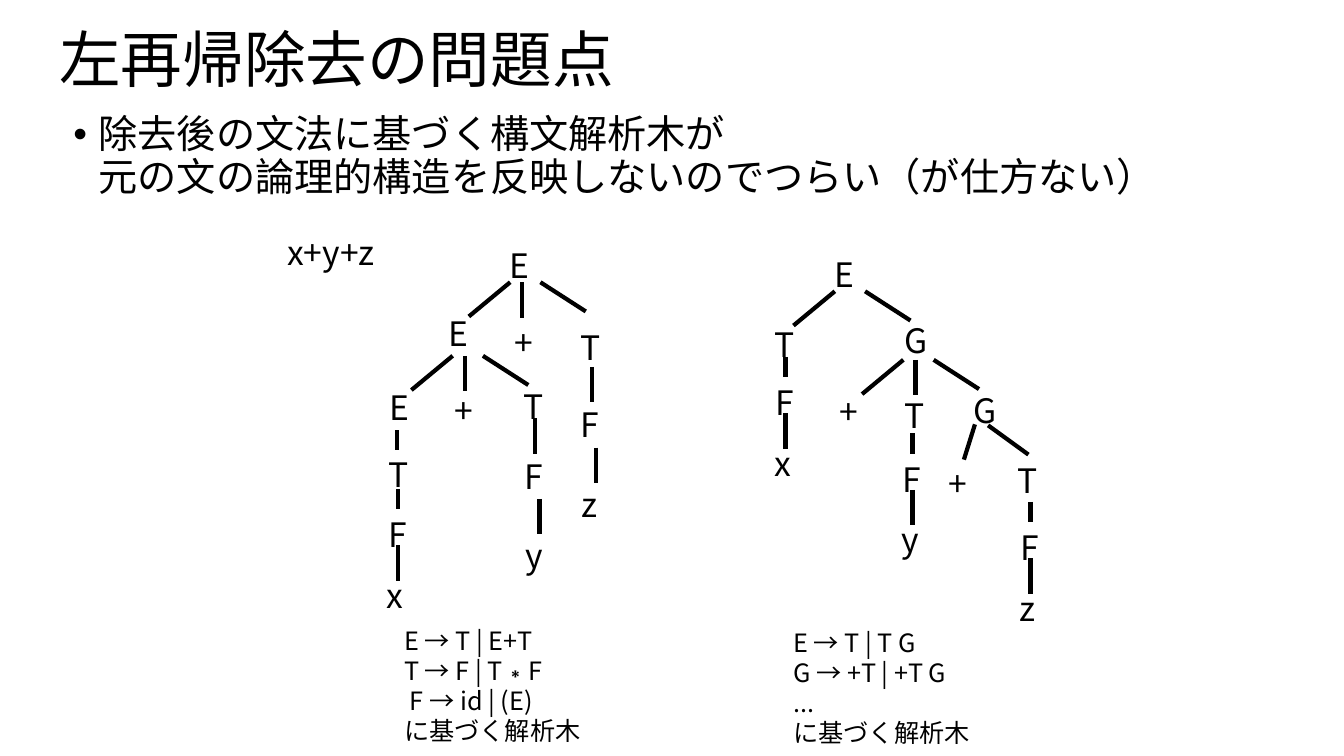
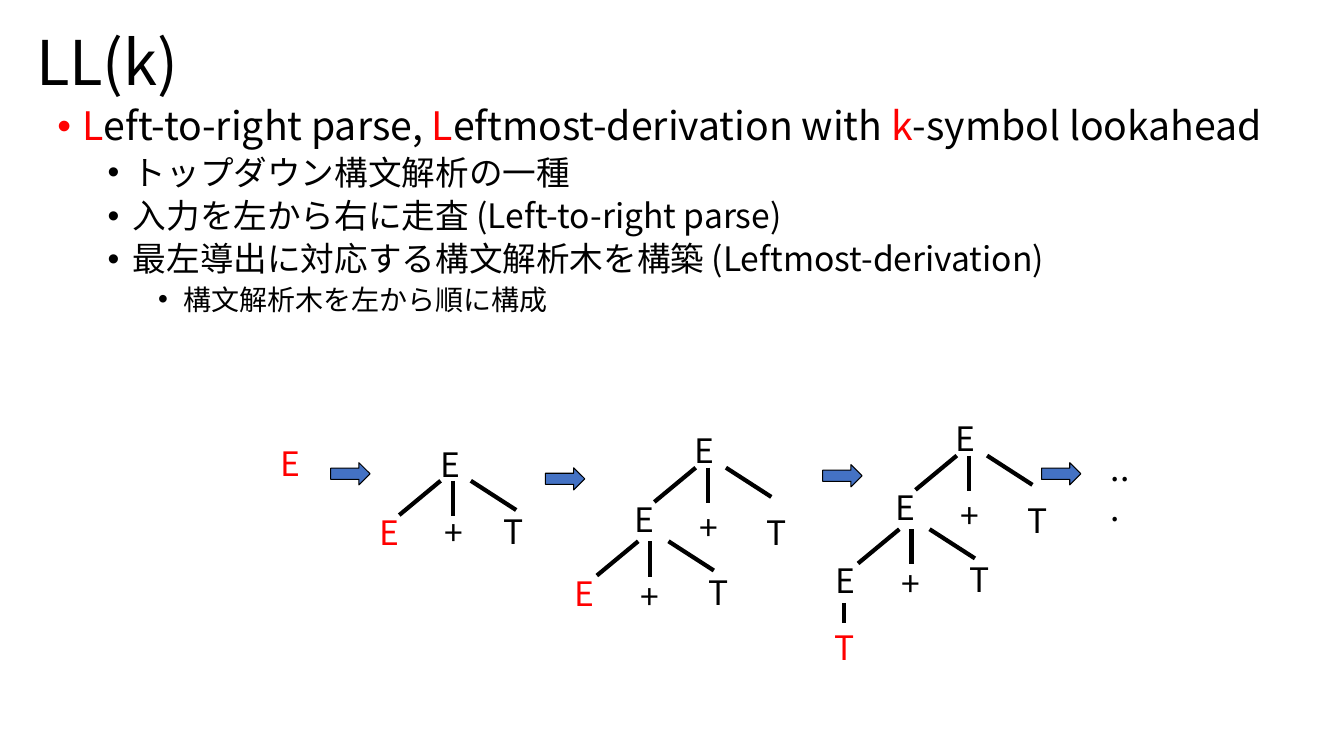
from lxml import etree
from pptx import Presentation
from pptx.dml.color import RGBColor
from pptx.enum import shapes, text
from pptx.oxml.ns import qn
from pptx.util import Inches, Pt

BLACK = RGBColor(0, 0, 0)
RED = RGBColor(0xFF, 0, 0)
BLUE = RGBColor(0x44, 0x72, 0xC4)
FONT = "Noto Sans CJK JP"
NODE_WIDTHS = {"+": 0.45, "G": 0.45, "x": 0.37, "y": 0.37, "z": 0.36}
LEVELS = [(0.25, 28, 10), (0.75, 24, 5), (1.25, 20, 5)]


class Deck:
    """Holds the style and the current slide, and draws each kind of element."""

    def __init__(self):
        self.prs = Presentation()
        self.prs.slide_width = Inches(13.33)
        self.prs.slide_height = Inches(7.5)
        self.s = None

    def new_slide(self, title, x, y, w):
        self.s = self.prs.slides.add_slide(self.prs.slide_layouts[6])
        tf = self.frame(x, y, w, 1.25, word_wrap=True,
                        vertical_anchor=text.MSO_ANCHOR.MIDDLE)
        tf.paragraphs[0].line_spacing = 0.9
        self.run(tf.paragraphs[0], title, 44)

    def frame(self, x, y, w, h, **formats):
        sp = self.s.shapes.add_textbox(Inches(x), Inches(y), Inches(w), Inches(h))
        for name, value in formats.items():
            setattr(sp.text_frame, name, value)
        return sp.text_frame

    def run(self, p, words, size, color=BLACK, font=FONT):
        r = p.add_run()
        r.text = words
        for name, value in {"size": Pt(size), "name": font}.items():
            setattr(r.font, name, value)
        r.font.color.rgb = color
        etree.SubElement(r._r.get_or_add_rPr(), qn("a:ea")).set("typeface", font)

    def paragraphs(self, tf, count):
        return [tf.paragraphs[0]] + [tf.add_paragraph() for _ in range(count - 1)]

    def bullets(self, x, y, w, items):
        tf = self.frame(x, y, w, 4.95, word_wrap=True)
        for i, (p, (level, lines)) in enumerate(
                zip(self.paragraphs(tf, len(items)), items)):
            indent, size, before = LEVELS[level]
            pPr = p._p.get_or_add_pPr()
            pPr.set("marL", str(Inches(indent)))
            pPr.set("indent", str(Inches(-0.25)))
            etree.SubElement(pPr, qn("a:buFont")).set("typeface", "Arial")
            etree.SubElement(pPr, qn("a:buChar")).set("char", "•")
            p.line_spacing = 0.9
            p.space_before = Pt(before if i else 0)
            for j, line in enumerate(lines):
                if j:
                    p.add_line_break()
                for words, color in line:
                    self.run(p, words, size, color)

    def label(self, x, y, w, lines, size=24, color=BLACK):
        tf = self.frame(x, y, w, 0.5, word_wrap=False,
                        auto_size=text.MSO_AUTO_SIZE.SHAPE_TO_FIT_TEXT)
        for p, line in zip(self.paragraphs(tf, len(lines)), lines):
            for part in line.replace("∗", "\t∗\t").split("\t"):
                self.run(p, part, size, color, "Arial" if part == "∗" else FONT)

    def node(self, x, y, symbol, color=BLACK):
        self.label(x, y, NODE_WIDTHS.get(symbol, 0.41), [symbol], color=color)

    def edge(self, x, y, dx, dy):
        c = self.s.shapes.add_connector(
            shapes.MSO_CONNECTOR.STRAIGHT, Inches(x), Inches(y),
            Inches(x + dx), Inches(y + dy))
        c.line.color.rgb = BLACK
        c.line.width = Pt(3)
        etree.SubElement(c._element.spPr, qn("a:effectLst"))

    def fan(self, x, y, middle=True):
        self.edge(x, y, -0.41, 0.34)
        self.edge(x + 0.3, y, 0.45, 0.29)
        if middle:
            self.edge(x + 0.12, y, 0, 0.35)

    def sum_tree(self, x, y, leaf_color=BLACK):
        self.fan(x + 0.11, y + 0.42)
        self.fan(x - 0.46, y + 1.15)
        for dx, dy, symbol in [(0, 0, "E"), (-0.6, 0.68, "E"), (0.05, 0.76, "+"),
                               (0.71, 0.81, "T"), (-0.54, 1.44, "+"),
                               (0.14, 1.4, "T")]:
            self.node(x + dx, y + dy, symbol)
        self.node(x - 1.19, y + 1.41, "E", leaf_color)

    def chain(self, x, y, leaf, loose=False):
        self.node(x, y, "F")
        if loose:
            self.edge(x + 0.21, y - 0.32, 0, 0.35)
            self.edge(x + 0.25, y + 0.48, 0, 0.35)
            self.node(x + 0.01, y + 0.79, leaf)
        else:
            self.edge(x + 0.2, y - 0.2, 0, 0.2)
            self.edge(x + 0.2, y + 0.36, 0, 0.35)
            self.node(x - 0.01, y + 0.6, leaf)

    def arrow(self, x, y):
        sp = self.s.shapes.add_shape(shapes.MSO_SHAPE.RIGHT_ARROW, Inches(x),
                                     Inches(y), Inches(0.39), Inches(0.22))
        sp.shadow.inherit = False
        sp.fill.solid()
        sp.fill.fore_color.rgb = BLUE
        sp.line.color.rgb = BLACK
        sp.line.width = Pt(0.75)


def left_recursion(d):
    """Draws the slide comparing the two parse trees."""
    d.new_slide("左再帰除去の問題点", 0.49, 0, 12.27)
    d.bullets(0.63, 1.09, 12.35, [
        (0, [[("除去後の文法に基づく構文解析木が", BLACK)],
             [("元の文の論理的構造を反映しないのでつらい（が仕方ない）", BLACK)]])])
    d.label(2.75, 2.25, 1.17, ["x+y+z"])
    d.label(3.91, 6.15, 2.26, ["E → T | E+T", "T → F | T∗F",
                               " F → id | (E)", "に基づく解析木"], 18)
    d.label(7.77, 6.17, 1.97, ["E → T | T G", "G → +T | +T G",
                               "...", "に基づく解析木"], 18)

    d.sum_tree(4.95, 2.38)
    d.edge(3.94, 4.27, 0, 0.19)
    d.node(3.75, 4.45, "T")
    d.chain(3.75, 5.05, "x")
    d.chain(5.1, 4.47, "y", loose=True)
    d.chain(5.66, 3.96, "z", loose=True)

    d.fan(8.28, 2.89, middle=False)
    d.fan(8.96, 3.57)
    d.edge(9.67, 4.21, -0.11, 0.35)
    d.edge(9.8, 4.22, 0.4, 0.29)
    for x, y, symbol in [(8.18, 2.47, "E"), (7.58, 3.16, "T"), (8.87, 3.12, "G"),
                         (8.23, 3.83, "+"), (8.87, 3.87, "T"), (9.56, 3.82, "G"),
                         (9.31, 4.54, "+"), (9.99, 4.51, "T")]:
        d.node(x, y, symbol)
    for x, y, leaf in [(7.59, 3.74, "x"), (8.85, 4.5, "y"), (10.02, 5.18, "z")]:
        d.chain(x, y, leaf)


def ll_k(d):
    """Draws the slide on LL(k) parsing."""
    d.new_slide("LL(k)", 0.26, 0.03, 12.66)
    d.bullets(0.47, 1.01, 12.69, [
        (0, [[("L", RED), ("eft-to-right parse, ", BLACK), ("L", RED),
              ("eftmost-derivation with ", BLACK), ("k", RED),
              ("-symbol lookahead", BLACK)]]),
        (1, [[("トップダウン構文解析の一種", BLACK)]]),
        (1, [[("入力を左から右に走査 (Left-to-right parse)", BLACK)]]),
        (1, [[("最左導出に対応する構文解析木を構築 (Leftmost-derivation)", BLACK)]]),
        (2, [[("構文解析木を左から順に構成", BLACK)]])])

    d.node(2.68, 4.34, "E", RED)
    d.fan(4.37, 4.77)
    for x, y, symbol, color in [(4.27, 4.35, "E", BLACK), (3.67, 5.03, "E", RED),
                                (4.31, 5.03, "+", BLACK), (4.9, 5.02, "T", BLACK)]:
        d.node(x, y, symbol, color)
    d.sum_tree(6.79, 4.22, RED)
    d.sum_tree(9.38, 4.1)
    d.edge(8.37, 5.98, 0, 0.2)
    d.node(8.18, 6.17, "T", RED)
    for x, y in [(3.28, 4.59), (5.41, 4.64), (8.16, 4.61), (10.33, 4.59)]:
        d.arrow(x, y)
    d.label(10.92, 4.39, 0.46, ["..."])


def main():
    """Builds and saves the presentation."""
    d = Deck()
    left_recursion(d)
    ll_k(d)
    d.prs.save("out.pptx")


if __name__ == "__main__":
    main()
